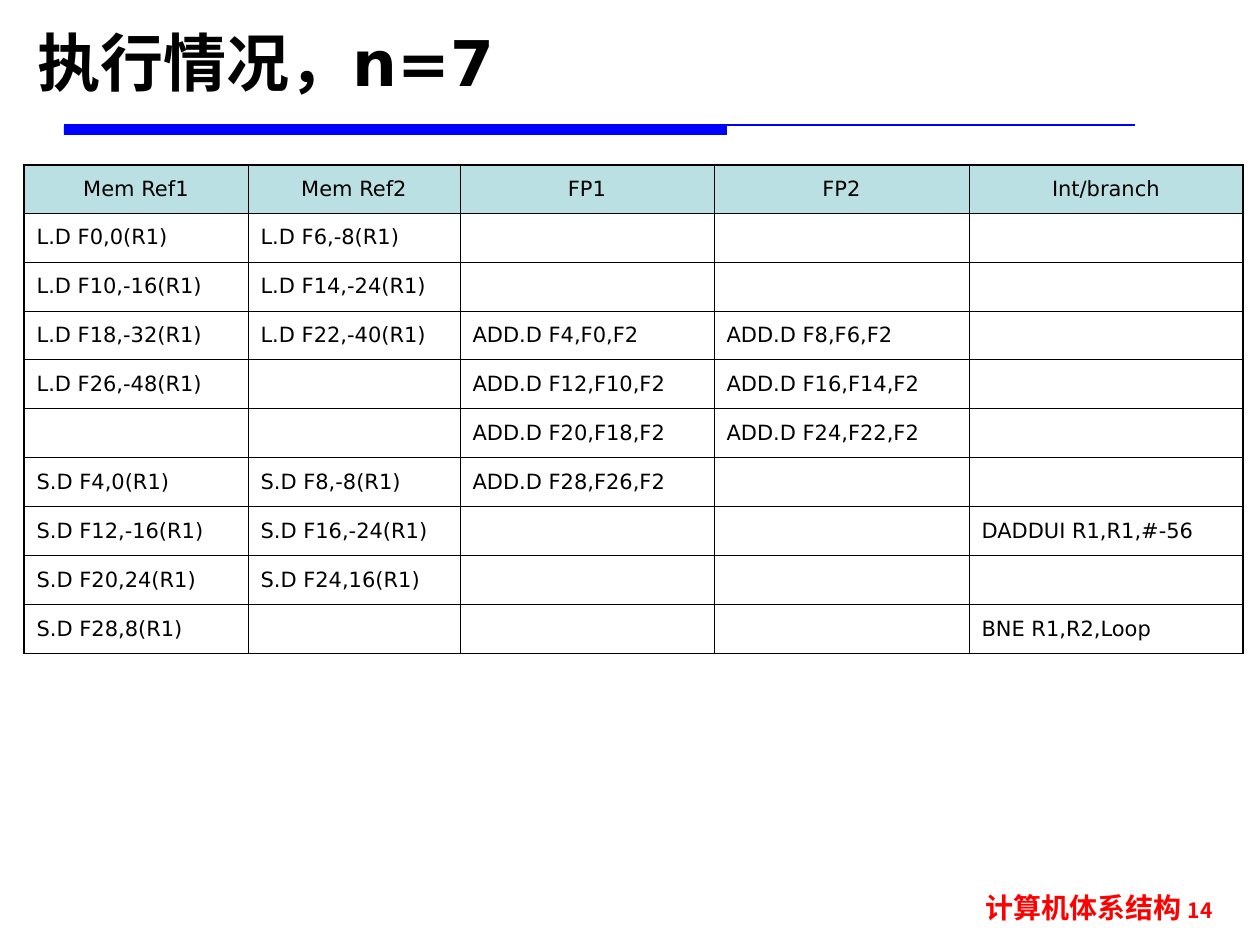
from lxml.etree import SubElement
from pptx import Presentation
from pptx.dml.color import RGBColor
from pptx.enum.shapes import MSO_CONNECTOR as CONNECTOR, MSO_SHAPE as SHAPE
from pptx.enum.text import MSO_ANCHOR as ANCHOR, PP_ALIGN as ALIGN
from pptx.oxml.ns import qn
from pptx.util import Emu, Pt

COLORS = {"black": "000000", "blue": "0000FF", "red": "FF0000", "header": "BBE0E3"}
LATIN_FONT = "DejaVu Sans"
CHINESE_FONT = "Noto Sans CJK SC"
CELL_SIZE = 12


def px(value):
    return Emu(round(value * 914400 / 126))


def format_run(run, size, color, bold=False, latin=LATIN_FONT):
    run.font.size = Pt(size)
    run.font.bold = bold
    run.font.color.rgb = RGBColor.from_string(COLORS[color])
    run.font.name = latin
    SubElement(run.font._element, qn("a:ea"), typeface=CHINESE_FONT)


presentation = Presentation()
presentation.slide_width = px(1260)
presentation.slide_height = px(945)
slide = presentation.slides.add_slide(presentation.slide_layouts[5])

bar = slide.shapes.add_shape(SHAPE.RECTANGLE, px(64), px(125), px(663), px(10))
bar.shadow.inherit = False
bar.fill.solid()
bar.fill.fore_color.rgb = RGBColor.from_string(COLORS["blue"])
bar.line.fill.background()

rule = slide.shapes.add_connector(CONNECTOR.STRAIGHT, px(64), px(125), px(1135), px(125))
rule.line.color.rgb = RGBColor.from_string(COLORS["blue"])
rule.line.width = Pt(0.75)
SubElement(rule._element.spPr, qn("a:effectLst"))

footer = slide.shapes.add_textbox(px(916), px(884), px(309), px(54))
footer.text_frame.word_wrap = True
paragraph = footer.text_frame.paragraphs[0]
paragraph.alignment = ALIGN.RIGHT
for text, size in (("计算机体系结构 ", 16), ("14", 12)):
    run = paragraph.add_run()
    run.text = text
    format_run(run, size, "red", bold=True, latin=CHINESE_FONT)

title = slide.shapes.title
title.left, title.top, title.width, title.height = px(25), px(6), px(1211), px(110)
title.text_frame.text = "执行情况，n=7"
title.text_frame.vertical_anchor = ANCHOR.MIDDLE
paragraph = title.text_frame.paragraphs[0]
paragraph.alignment = ALIGN.LEFT
format_run(paragraph.runs[0], 36, "black", bold=True)

rows = [
    ["Mem Ref1", "Mem Ref2", "FP1", "FP2", "Int/branch"],
    ["L.D F0,0(R1)", "L.D F6,-8(R1)", "", "", ""],
    ["L.D F10,-16(R1)", "L.D F14,-24(R1)", "", "", ""],
    ["L.D F18,-32(R1)", "L.D F22,-40(R1)", "ADD.D F4,F0,F2", "ADD.D F8,F6,F2", ""],
    ["L.D F26,-48(R1)", "", "ADD.D F12,F10,F2", "ADD.D F16,F14,F2", ""],
    ["", "", "ADD.D F20,F18,F2", "ADD.D F24,F22,F2", ""],
    ["S.D F4,0(R1)", "S.D F8,-8(R1)", "ADD.D F28,F26,F2", "", ""],
    ["S.D F12,-16(R1)", "S.D F16,-24(R1)", "", "", "DADDUI R1,R1,#-56"],
    ["S.D F20,24(R1)", "S.D F24,16(R1)", "", "", ""],
    ["S.D F28,8(R1)", "", "", "", "BNE R1,R2,Loop"],
]
column_widths = [224, 212, 254, 255, 274]
row_heights = [48] + [49] * 9

table = slide.shapes.add_table(
    len(rows), len(column_widths), px(24), px(165), px(sum(column_widths)), px(sum(row_heights))
).table
table.horz_banding = False
for column, width in zip(table.columns, column_widths):
    column.width = px(width)
for row, height in zip(table.rows, row_heights):
    row.height = px(height)

last_row, last_column = len(rows) - 1, len(column_widths) - 1
for row_index, texts in enumerate(rows):
    for column_index, text in enumerate(texts):
        cell = table.cell(row_index, column_index)
        cell.vertical_anchor = ANCHOR.MIDDLE
        outer_edges = {
            "a:lnL": column_index == 0,
            "a:lnR": column_index == last_column,
            "a:lnT": row_index == 0,
            "a:lnB": row_index == last_row,
        }
        for tag, is_outer in outer_edges.items():
            width = Pt(1.08 if is_outer else 0.45)
            border = SubElement(cell._tc.get_or_add_tcPr(), qn(tag), w=str(width))
            border_fill = SubElement(border, qn("a:solidFill"))
            SubElement(border_fill, qn("a:srgbClr"), val=COLORS["black"])
        if row_index == 0:
            cell.fill.solid()
            cell.fill.fore_color.rgb = RGBColor.from_string(COLORS["header"])
        else:
            cell.fill.background()
        paragraph = cell.text_frame.paragraphs[0]
        paragraph.alignment = ALIGN.CENTER if row_index == 0 else ALIGN.LEFT
        if text:
            paragraph.text = text
            format_run(paragraph.runs[0], CELL_SIZE, "black")
        else:
            SubElement(paragraph._p, qn("a:endParaRPr"), sz=str(CELL_SIZE * 100))

presentation.save("out.pptx")
